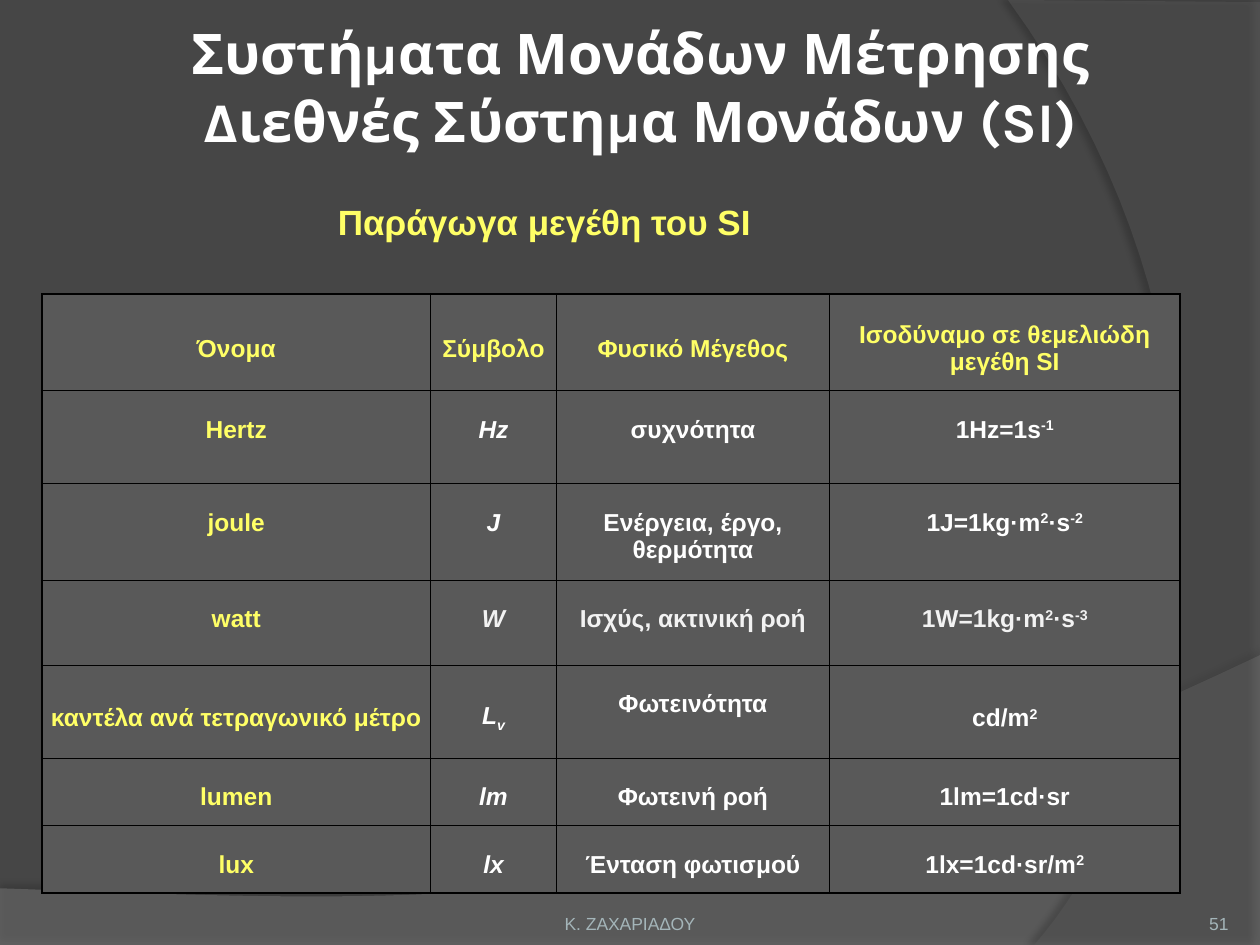
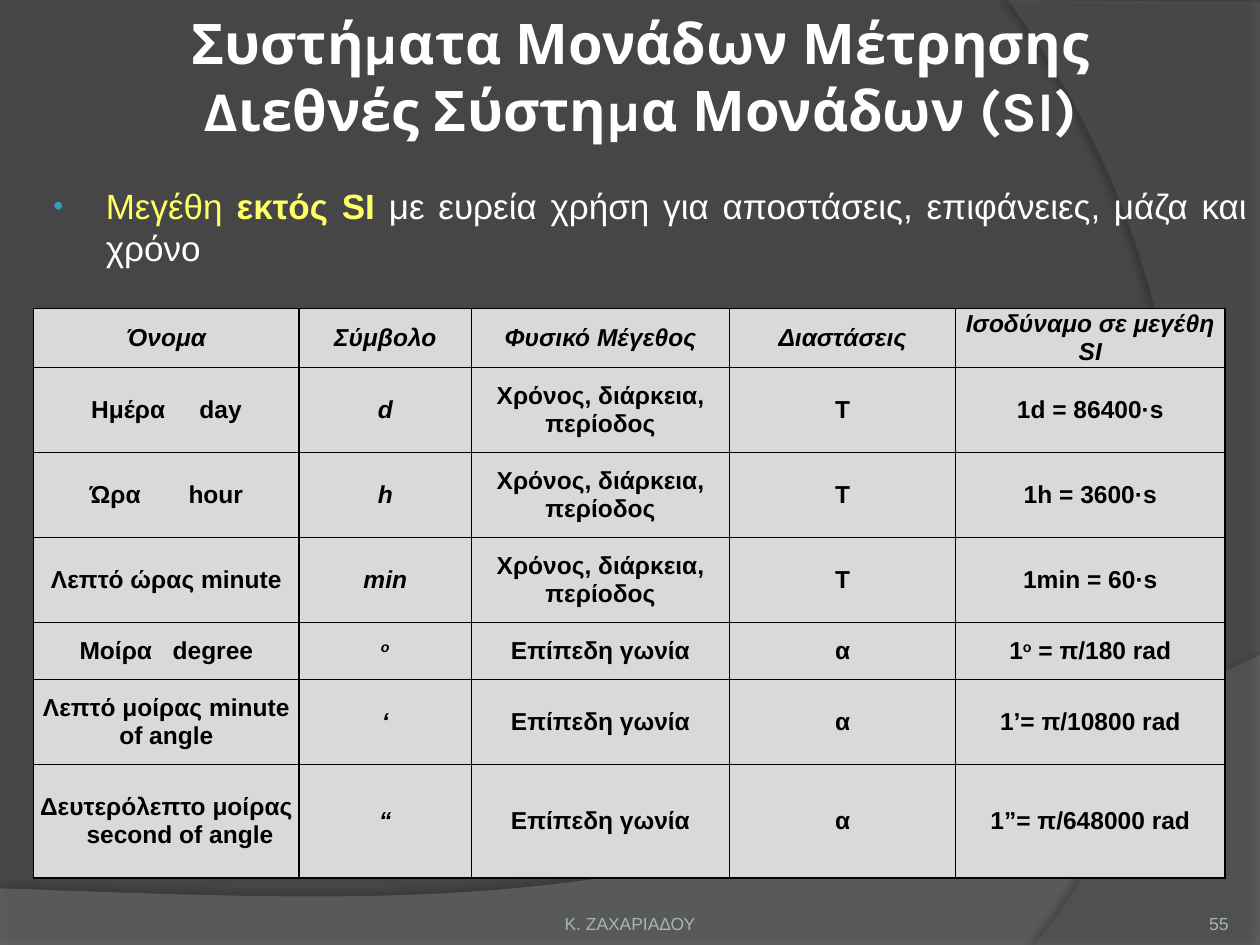
"""Two slides on derived SI units and on units outside the SI."""
from lxml import etree
from pptx import Presentation
from pptx.dml.color import RGBColor
from pptx.enum.text import MSO_ANCHOR, PP_ALIGN
from pptx.oxml.ns import qn
from pptx.util import Emu, Inches, Pt

TOP, MID, LOW = MSO_ANCHOR.TOP, MSO_ANCHOR.MIDDLE, MSO_ANCHOR.BOTTOM
LEFT, MIDST, RIGHT, FULL = (PP_ALIGN.LEFT, PP_ALIGN.CENTER,
                            PP_ALIGN.RIGHT, PP_ALIGN.JUSTIFY)

BACK = RGBColor(0x46, 0x46, 0x46)
WAVE = RGBColor(0x7F, 0x7F, 0x7F)
ARC = RGBColor(0x5E, 0x5E, 0x5E)
BLACK = RGBColor(0, 0, 0)
WHITE = RGBColor(0xFF, 0xFF, 0xFF)
PALE = RGBColor(0xF2, 0xF2, 0xF2)
YELLOW = RGBColor(0xFF, 0xFF, 0x66)
FOOT = RGBColor(0xA4, 0xB5, 0xB9)
BLUE = RGBColor(0x2D, 0xA2, 0xBF)
DARK = RGBColor(0x59, 0x59, 0x59)
LIGHT = RGBColor(0xD9, 0xD9, 0xD9)

UNIT = Inches(1) / 12
SPACE = 3.9
TITLE = "Συστήματα Μονάδων Μέτρησης|\n|Διεθνές Σύστημα Μονάδων (SI)"
AUTHOR = "Κ. ΖΑΧΑΡΙΑΔΟΥ"
PERIOD = "Χρόνος, διάρκεια, περίοδος"
ANGLE = "Επίπεδη γωνία"

DERIVED = [
    ["Όνομα", "Σύμβολο", "Φυσικό Μέγεθος", "Ισοδύναμο σε θεμελιώδη μεγέθη SI"],
    ["Hertz", "Hz", "συχνότητα", "1Hz=1s|^-1"],
    ["joule", "J", "Ενέργεια, έργο, θερμότητα", "1J=1kg·m|^2|·s|^-2"],
    ["watt", "W", "Ισχύς, ακτινική ροή", "1W=1kg·m|^2|·s|^-3"],
    ["καντέλα ανά τετραγωνικό μέτρο", "L|_v", "Φωτεινότητα", "cd/m|^2"],
    ["lumen", "lm", "Φωτεινή ροή", "1lm=1cd·sr"],
    ["lux", "lx", "Ένταση φωτισμού", "1lx=1cd·sr/m|^2"],
]
OUTSIDE = [
    ["Όνομα", "Σύμβολο", "Φυσικό Μέγεθος", "Διαστάσεις", "Ισοδύναμο σε μεγέθη SI"],
    ["Ημέρα|~5|day", "d", PERIOD, "Τ", "1d = 86400·s"],
    ["Ώρα|~7|hour", "h", PERIOD, "Τ", "1h = 3600·s"],
    ["Λεπτό ώρας minute", "min", PERIOD, "Τ", "1min = 60·s"],
    ["Μοίρα|~3|degree", "|^ο", ANGLE, "α", "1|^o| = π/180 rad"],
    ["Λεπτό μοίρας minute of angle", "‘", ANGLE, "α", "1’= π/10800 rad"],
    ["Δευτερόλεπτο μοίρας|\n|~4|second of angle", "“", ANGLE, "α", "1”= π/648000 rad"],
]


def grid(*nums):
    """Turn grid units, 120 by 90 to a slide, into lengths."""
    return [Emu(round(num * UNIT)) for num in nums]


def node(parent, tag, **attrs):
    """Append an XML child with the given attributes."""
    child = etree.SubElement(parent, qn(tag))
    for key, value in attrs.items():
        child.set(key, str(value))
    return child


def write(para, text, size=14, font="Arial", color=WHITE, bold=False,
          italic=False, align=MIDST):
    """Add text; | parts runs, ^ raises, _ lowers, ~n is a gap of n spaces."""
    para.alignment = align
    for part in filter(None, text.split("|")):
        if part == "\n":
            para.add_line_break()
            continue
        mark = part[0] if part[0] in "^_~" else ""
        run = para.add_run()
        run.text = " " if mark == "~" else part[len(mark):]
        face = run.font
        face.size, face.name, face.bold, face.italic = Pt(size), font, bold, italic
        face.color.rgb = color
        props = run._r.get_or_add_rPr()
        if mark == "~":
            props.set("spc", str(round((int(part[1:]) - 1) * SPACE * 100)))
        elif mark:
            props.set("baseline", "30000" if mark == "^" else "-25000")


def frame(slide, area, anchor=TOP, inset=(1.2, 0.6, 1.2, 0.6)):
    """Add a wrapping text box and return its first paragraph."""
    body = slide.shapes.add_textbox(*grid(*area)).text_frame
    body.word_wrap = True
    body.vertical_anchor = anchor
    (body.margin_left, body.margin_top,
     body.margin_right, body.margin_bottom) = grid(*inset)
    return body.paragraphs[0]


def curve(ends, steps=40):
    """Return points along a cubic curve with the four given poles."""
    points = []
    for step in range(1, steps + 1):
        t = step / steps
        parts = ((1 - t) ** 3, 3 * t * (1 - t) ** 2, 3 * t * t * (1 - t), t ** 3)
        points.append(tuple(sum(w * pole[axis] for w, pole in zip(parts, ends))
                            for axis in (0, 1)))
    return points


def swoosh(slide, edges, poles, color, alpha, shade, dist, angle):
    """Draw a see-through shape with one curved side and a soft shadow."""
    points = [grid(*point) for point in edges + curve(poles)]
    build = slide.shapes.build_freeform(*points[0])
    build.add_line_segments(points[1:])
    shape = build.convert_to_shape()
    shape.fill.solid()
    shape.fill.fore_color.rgb = color
    shape.line.fill.background()
    props = shape._element.spPr
    node(props.find(".//" + qn("a:srgbClr")), "a:alpha", val=alpha * 1000)
    cast = node(node(props, "a:effectLst"), "a:outerShdw", blurRad=Pt(4),
                dist=Pt(dist), dir=angle * 60000, algn="ctr", rotWithShape=0)
    node(node(cast, "a:srgbClr", val=BLACK), "a:alpha", val=shade * 1000)


def base(deck, number, top):
    """Add a slide with its backdrop, title and footer."""
    slide = deck.slides.add_slide(deck.slide_layouts[6])
    slide.background.fill.solid()
    slide.background.fill.fore_color.rgb = BACK
    swoosh(slide, [(0, 84.6), (0, 90), (120, 90), (120, 62.4)],
           [(120, 62.4), (67.1, 87.5), (46.9, 86.3), (0, 84.6)],
           WAVE, 45, 35, 3.5, 270)
    swoosh(slide, [(120, 0.2), (120, 90), (98.5, 90)],
           [(98.5, 90), (112.2, 74.3), (122.2, 36), (96, 0)],
           ARC, 40, 45, 4, 180)
    write(frame(slide, (7, top, 108, 14.4), MID, (0.6,) * 4), TITLE,
          size=32, font="Karla", bold=True)
    write(frame(slide, (41, 84.2, 38, 4.8), LOW, (0, 0.6, 0, 0)), AUTHOR,
          size=10, color=FOOT)
    write(frame(slide, (107, 84.2, 10, 4.8), LOW, (0,) * 4), str(number),
          size=10, color=FOOT, align=RIGHT)
    return slide


def border(cell):
    """Rule all four sides of a cell in black."""
    props = cell._tc.get_or_add_tcPr()
    for side in "LRTB":
        line = node(props, "a:ln" + side, w=Pt(1))
        node(node(line, "a:solidFill"), "a:srgbClr", val=BLACK)


def chart(slide, place, cols, rows, data, fill, inset, style):
    """Add a table; style gives anchor, colour and slant for a row and column."""
    size = sum(cols), sum(rows)
    table = slide.shapes.add_table(len(rows), len(cols),
                                   *grid(*place, *size)).table
    table.first_row = table.horz_banding = False
    for col, width in zip(table.columns, grid(*cols)):
        col.width = width
    for row, height in zip(table.rows, grid(*rows)):
        row.height = height
    for r, line in enumerate(data):
        for c, text in enumerate(line):
            cell = table.cell(r, c)
            border(cell)
            cell.fill.solid()
            cell.fill.fore_color.rgb = fill
            (cell.margin_left, cell.margin_top,
             cell.margin_right, cell.margin_bottom) = grid(*inset)
            cell.vertical_anchor, color, italic = style(r, c)
            write(cell.text_frame.paragraphs[0], text, color=color,
                  bold=True, italic=italic)


def night(row, col):
    """Style a cell of the dark table."""
    anchor = MID if row == 0 or (row == 4 and col != 2) else TOP
    plain = PALE if row == 3 else WHITE
    color = YELLOW if row == 0 or col == 0 else plain
    return anchor, color, row > 0 and col == 1


def day(row, col):
    """Style a cell of the light table."""
    return MID, BLACK, row == 0 or col == 1


def bullet(para):
    """Give a paragraph a small blue bullet and a hanging indent."""
    props = para._p.get_or_add_pPr()
    left, hang = grid(5.5, -5)
    props.set("marL", str(left))
    props.set("indent", str(hang))
    node(node(props, "a:buClr"), "a:srgbClr", val=BLUE)
    node(props, "a:buSzPct", val=80000)
    node(props, "a:buFont", typeface="Arial")
    node(props, "a:buChar", char="•")


def main():
    """Build and save the deck."""
    deck = Presentation()
    deck.slide_width, deck.slide_height = grid(120, 90)

    slide = base(deck, 51, 1)
    para = frame(slide, (31, 19, 59, 3.7))
    para.line_spacing = 0.9
    write(para, "Παράγωγα μεγέθη του SI", size=20, color=YELLOW,
          bold=True, align=LEFT)
    chart(slide, (4, 28), (37, 12, 26, 33.4),
          (8.86, 8.86, 8.86, 8.1, 8.86, 6.2, 6.2), DERIVED, DARK,
          (0.75, 2.4, 0.75, 1.2), night)

    slide = base(deck, 55, 0)
    para = frame(slide, (3.4, 17, 116.6, 11))
    bullet(para)
    write(para, "Μεγέθη ", size=20, color=YELLOW, align=FULL)
    write(para, "εκτός SI ", size=20, color=YELLOW, bold=True, align=FULL)
    write(para, "με ευρεία χρήση για αποστάσεις, επιφάνειες, μάζα και χρόνο",
          size=20, align=FULL)
    chart(slide, (3.2, 29.4), (25.3, 16.4, 24.6, 21.5, 25.7),
          (5.4, 8.1, 8.1, 8.1, 5.4, 8.1, 10.8), OUTSIDE, LIGHT,
          (0.6, 0, 0.6, 0), day)

    deck.save("out.pptx")


if __name__ == "__main__":
    main()
